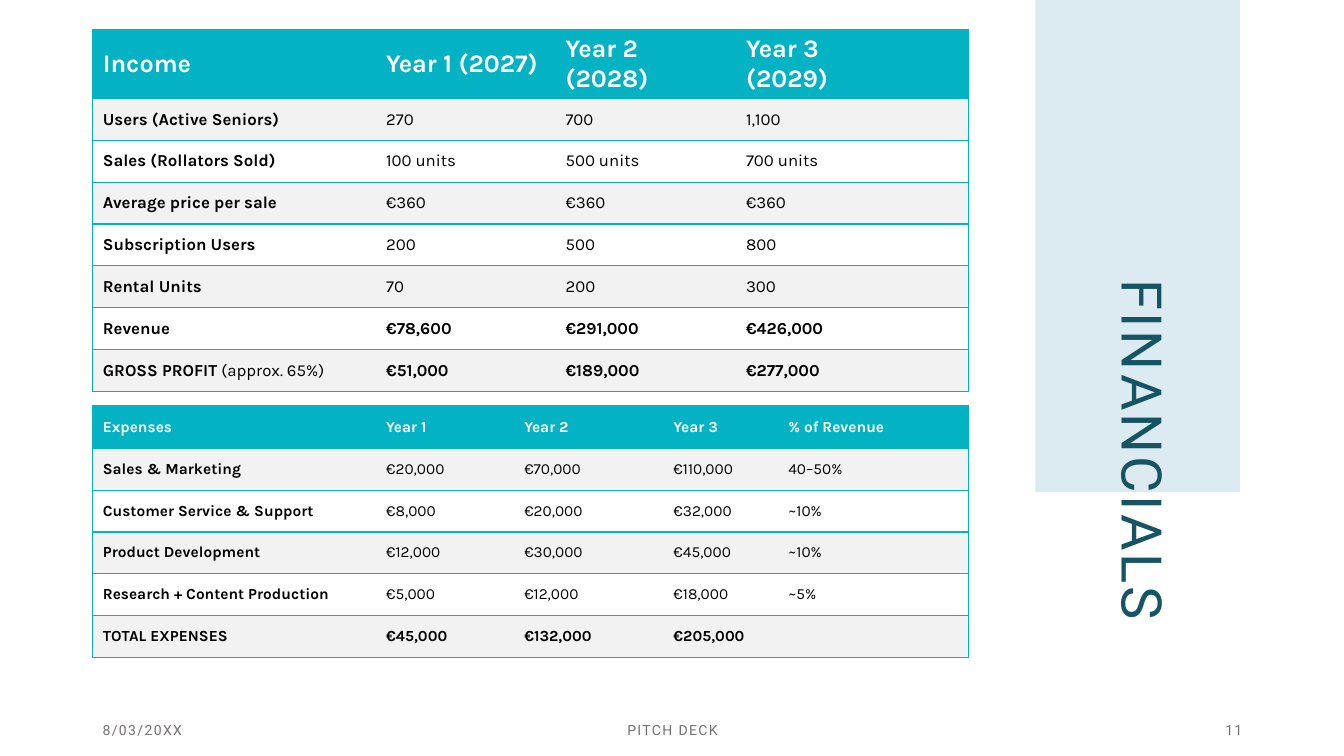
from lxml import etree
from pptx import Presentation
from pptx import util as u
from pptx.dml.color import RGBColor
from pptx.enum import shapes, text
from pptx.oxml.ns import qn

TEAL = RGBColor(0x04, 0xB3, 0xC3)
PALE = RGBColor(0xDC, 0xEA, 0xF1)
DEEP = RGBColor(0x15, 0x54, 0x63)
GRAY = RGBColor(0x76, 0x71, 0x71)
BAND = RGBColor(0xF2, 0xF2, 0xF2)
WHITE = RGBColor(0xFF, 0xFF, 0xFF)
BLACK = RGBColor(0, 0, 0)

TITLE = "FINANCIALS"
INCOME = [
    ("Income", "Year 1 (2027)", "Year 2 (2028)", "Year 3 (2029)", ""),
    ("Users (Active Seniors)", "270", "700", "1,100", ""),
    ("Sales (Rollators Sold)", "100 units", "500 units", "700 units", ""),
    ("Average price per sale", "€360", "€360", "€360", ""),
    ("Subscription Users", "200", "500", "800", ""),
    ("Rental Units", "70", "200", "300", ""),
    ("Revenue", "€78,600", "€291,000", "€426,000", ""),
    (("GROSS PROFIT", " (approx. 65%)"), "€51,000", "€189,000", "€277,000", ""),
]
COSTS = [
    ("Expenses", "Year 1", "Year 2", "Year 3", "% of Revenue"),
    ("Sales & Marketing", "€20,000", "€70,000", "€110,000", "40–50%"),
    ("Customer Service & Support", "€8,000", "€20,000", "€32,000", "~10%"),
    ("Product Development", "€12,000", "€30,000", "€45,000", "~10%"),
    ("Research + Content Production", "€5,000", "€12,000", "€18,000", "~5%"),
    ("TOTAL EXPENSES", "€45,000", "€132,000", "€205,000", ""),
]
# rows, top, column widths, header height, row height, header size, body size, first total row
TABLES = [
    (INCOME, 0.29, (2.81, 1.78, 1.79, 1.61, 0.7), 0.59, 0.415, 18, 12, 6),
    (COSTS, 4.02, (2.81, 1.37, 1.48, 1.14, 1.89), 0.43, 0.414, 11, 11, 5),
]
FOOT = [
    ("8/03/20XX", 0.92, 3, text.PP_ALIGN.LEFT),
    ("PITCH DECK", 4.42, 4.5, text.PP_ALIGN.CENTER),
    ("11", 9.42, 3, text.PP_ALIGN.RIGHT),
]
LEFT = 0.92


def add_run(para, words, size, face, color, bold=False, space=0):
    run = para.add_run()
    run.text = words
    font = run.font
    font.size, font.name, font.bold = u.Pt(size), face, bold
    font.color.rgb = color
    if space:
        run._r.get_or_add_rPr().set("spc", str(space * 100))


def set_edges(cell, sides):
    """Draw teal lines on the named sides and clear the others."""
    props = cell._tc.get_or_add_tcPr()
    for spot, side in enumerate("LRTB"):
        line = etree.Element(qn("a:ln" + side), w=str(u.Pt(1)))
        if side in sides:
            fill = etree.SubElement(line, qn("a:solidFill"))
            etree.SubElement(fill, qn("a:srgbClr"), val=str(TEAL))
        else:
            etree.SubElement(line, qn("a:noFill"))
        props.insert(spot, line)


def add_grid(slide, rows, top, widths, head, step, big, small, total):
    height = head + step * (len(rows) - 1)
    grid = slide.shapes.add_table(
        len(rows), len(widths), u.Inches(LEFT), u.Inches(top),
        u.Inches(sum(widths)), u.Inches(height)).table
    grid.horz_banding = False
    for col, width in zip(grid.columns, widths):
        col.width = u.Inches(width)
    for r, row in enumerate(rows):
        grid.rows[r].height = u.Inches(step if r else head)
        for c, words in enumerate(row):
            cell = grid.cell(r, c)
            cell.vertical_anchor = text.MSO_ANCHOR.MIDDLE
            cell.fill.solid()
            cell.fill.fore_color.rgb = TEAL if r == 0 else BAND if r % 2 else WHITE
            set_edges(cell, "TB" + "L" * (c == 0) + "R" * (c == len(row) - 1))
            bold = r == 0 or c == 0 or r >= total
            parts = words if isinstance(words, tuple) else (words,)
            for n, part in enumerate(parts):
                if part:
                    add_run(cell.text_frame.paragraphs[0], part, small if r else big,
                            "Karla", BLACK if r else WHITE, bold and n == 0)


def add_title(slide):
    title = slide.shapes.title
    title.left, title.top = u.Inches(9.11), u.Inches(4.3)
    title.width, title.height = u.Inches(4.35), u.Inches(1.09)
    title.rotation = 90
    frame = title.text_frame
    frame.auto_size = text.MSO_AUTO_SIZE.NONE
    frame.vertical_anchor = text.MSO_ANCHOR.MIDDLE
    para = frame.paragraphs[0]
    para.alignment = text.PP_ALIGN.LEFT
    para.line_spacing = 0.8
    add_run(para, TITLE, 40, "Roboto", DEEP, space=2)

    panel = slide.shapes.add_shape(
        shapes.MSO_SHAPE.RECTANGLE, u.Inches(10.27), 0, u.Inches(2.03), u.Inches(4.88))
    panel.shadow.inherit = False
    panel.fill.solid()
    panel.fill.fore_color.rgb = PALE
    panel.line.fill.background()
    title._element.addprevious(panel._element)


def add_foot(slide, words, left, width, align):
    box = slide.shapes.add_textbox(
        u.Inches(left), u.Inches(7.13), u.Inches(width), u.Inches(0.22))
    frame = box.text_frame
    frame.word_wrap = True
    frame.vertical_anchor = text.MSO_ANCHOR.MIDDLE
    frame.paragraphs[0].alignment = align
    add_run(frame.paragraphs[0], words, 10, "Roboto", GRAY, space=1)


def main():
    deck = Presentation()
    deck.slide_width, deck.slide_height = u.Inches(13.33), u.Inches(7.5)
    slide = deck.slides.add_slide(deck.slide_layouts[5])
    add_title(slide)
    for item in TABLES:
        add_grid(slide, *item)
    for item in FOOT:
        add_foot(slide, *item)
    deck.save("out.pptx")


if __name__ == "__main__":
    main()
